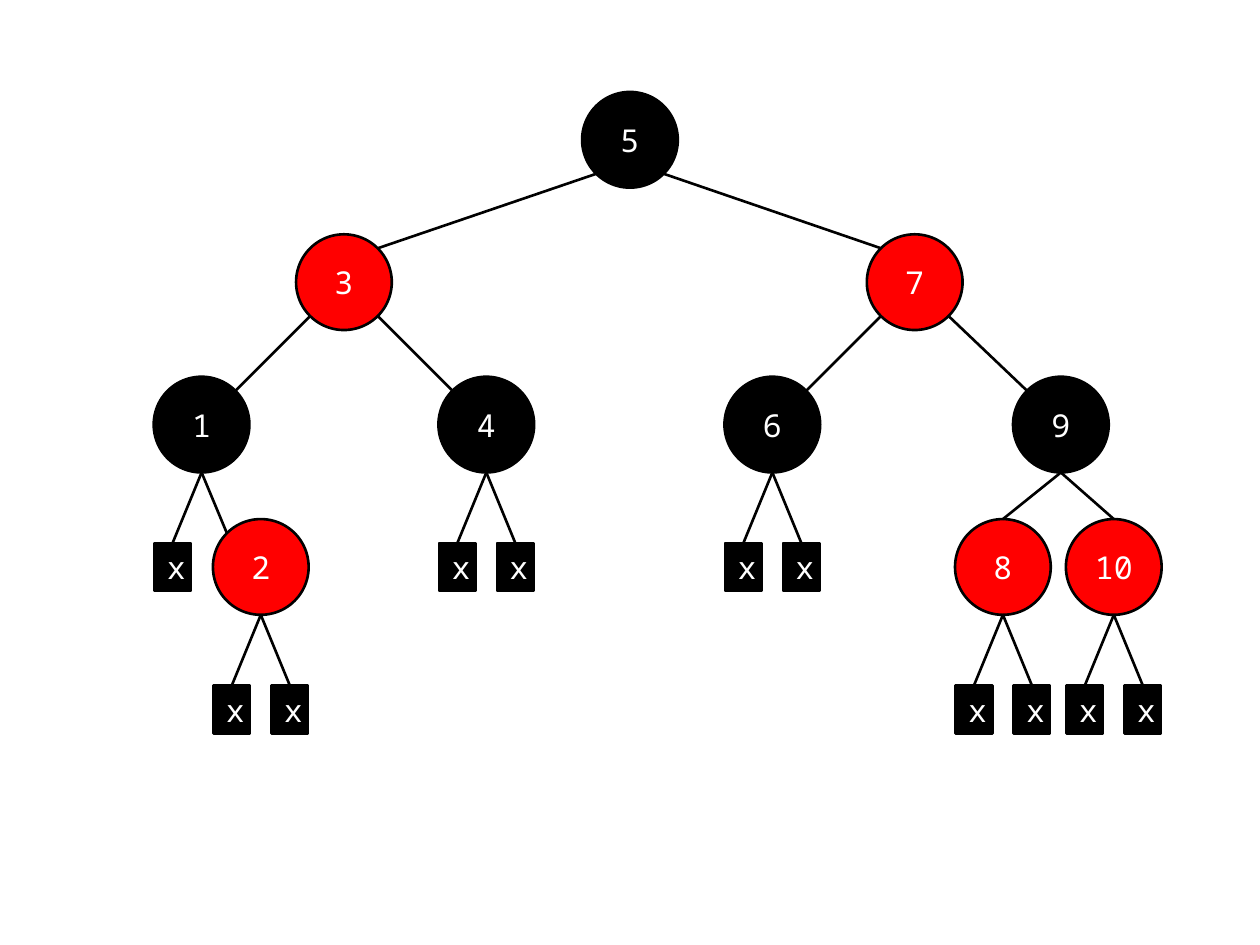
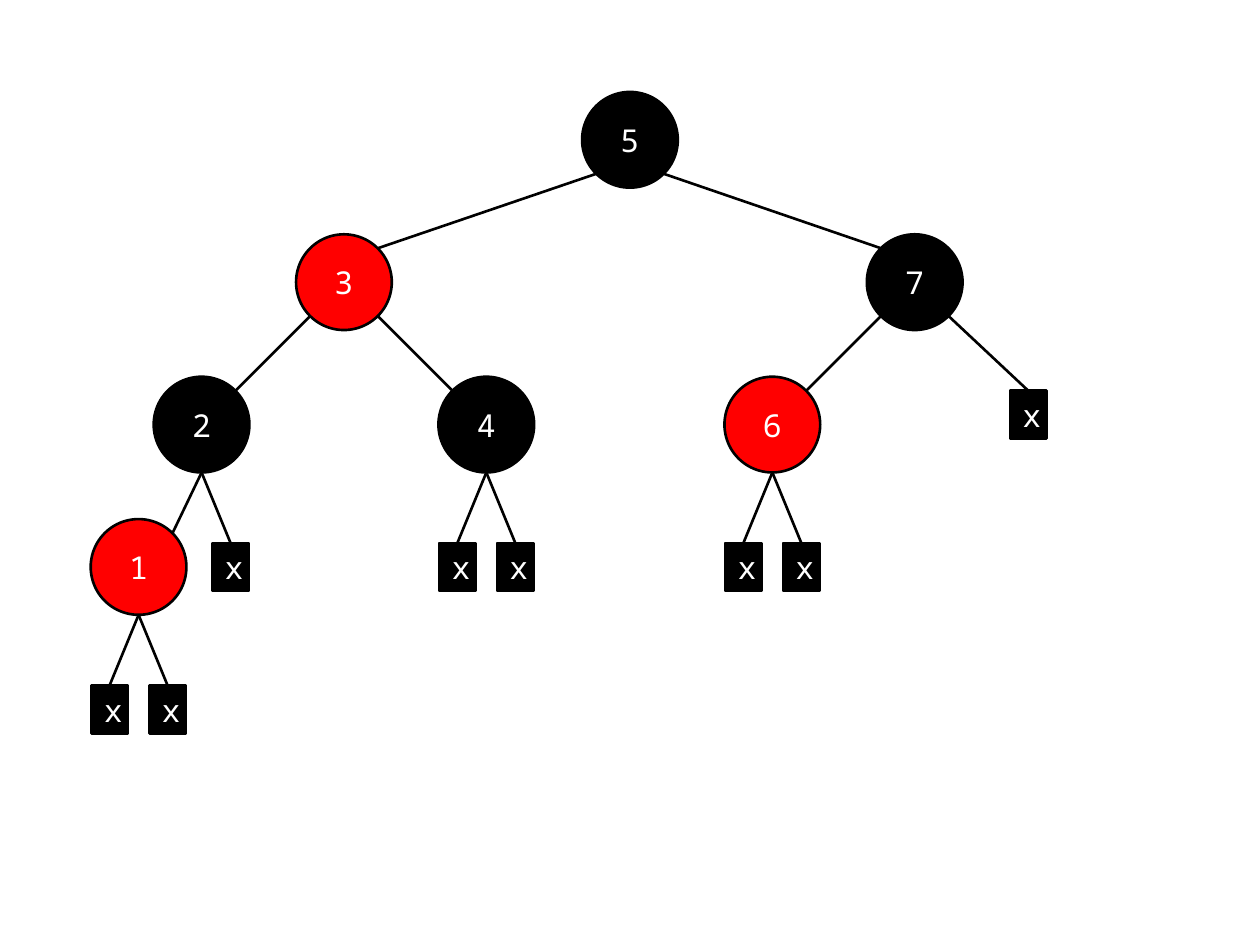
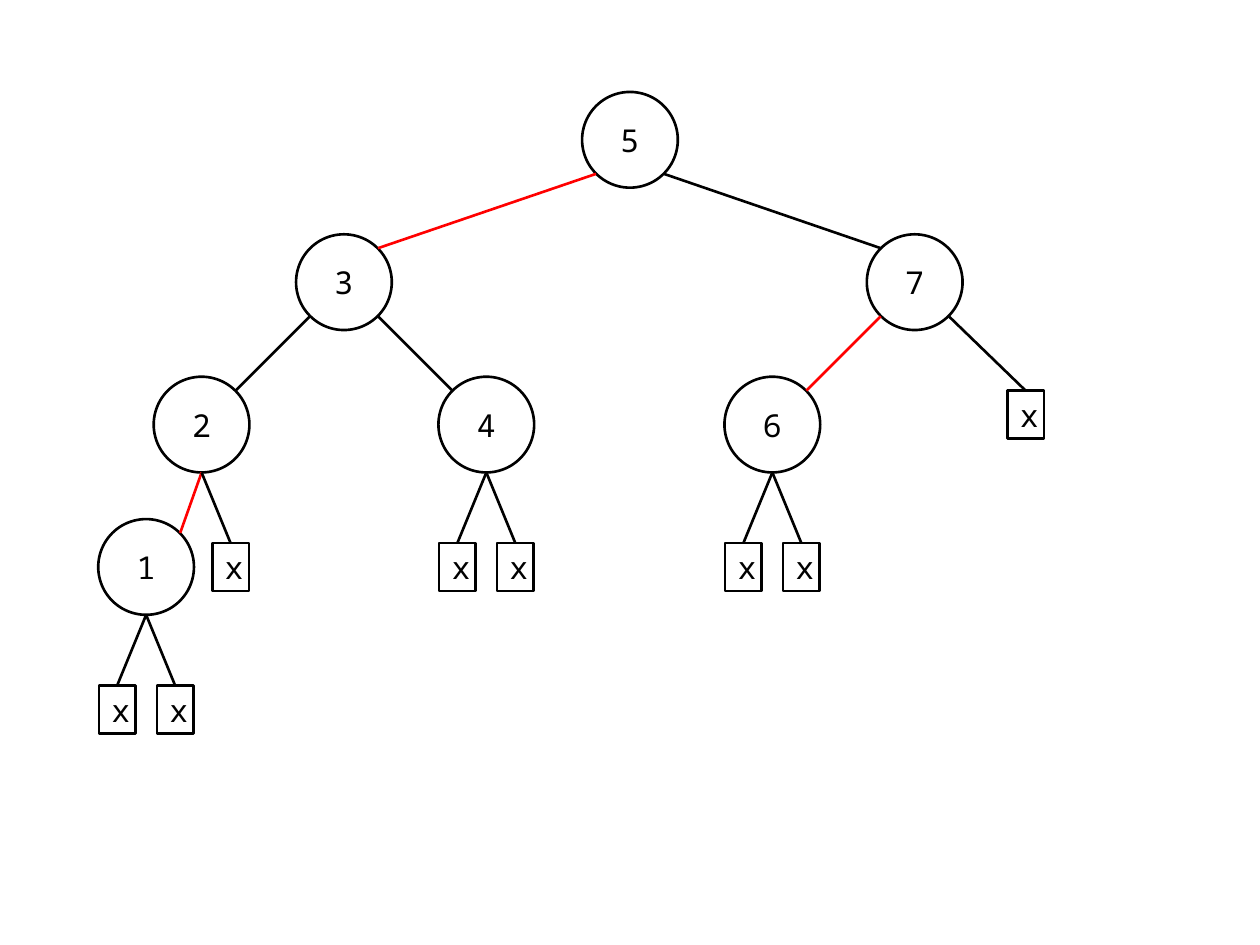
from dataclasses import dataclass
from typing import Optional

from lxml.etree import SubElement
from pptx import Presentation
from pptx.dml.color import RGBColor
from pptx.enum.shapes import MSO_CONNECTOR, MSO_SHAPE
from pptx.enum.text import MSO_ANCHOR, PP_ALIGN
from pptx.oxml.ns import qn
from pptx.util import Emu, Pt

PX = 9144  # 100 px to the inch
COLORS = {"black": "000000", "red": "FF0000", "white": "FFFFFF"}
FONT = "Noto Sans Mono"

ROOT_Y, ROW_STEP = 111, 113
RADIUS, CORNER = 38, 27  # CORNER: offset of a circle's diagonal point
LEAF_W, LEAF_H, LEAF_DX = 29, 38, 23
WIDE_ROWS = 2  # upper rows link through the diagonal points


@dataclass
class Node:
    """Tree node; a missing child is drawn as an x leaf."""
    label: str
    x: int
    color: str = "black"
    left: Optional["Node"] = None
    right: Optional["Node"] = None
    leaf: bool = False
    link_on_top: bool = False


class TreeDeck:
    def __init__(self):
        self.prs = Presentation()
        self.prs.slide_width, self.prs.slide_height = Emu(1000 * PX), Emu(750 * PX)
        self.s = None
        self.color_links = False

    def rgb(self, name):
        return RGBColor.from_string(COLORS[name])

    def emu(self, *lengths):
        return [Emu(int(n * PX)) for n in lengths]

    def new_slide(self, color_links=False):
        """With color_links, red is shown on the link above a node, not in it."""
        self.s = self.prs.slides.add_slide(self.prs.slide_layouts[6])
        self.color_links = color_links

    def outline(self, line, color="black"):
        line.color.rgb = self.rgb(color)
        line.width = Pt(1.5)

    def box(self, kind, x, y, w, h, text, color):
        sp = self.s.shapes.add_shape(kind, *self.emu(x, y, w, h))
        sp.shadow.inherit = False
        self.outline(sp.line)
        if self.color_links:
            sp.fill.background()
        else:
            sp.fill.solid()
            sp.fill.fore_color.rgb = self.rgb(color)
        tf = sp.text_frame
        tf.word_wrap = True
        tf.vertical_anchor = MSO_ANCHOR.MIDDLE
        p = tf.paragraphs[0]
        p.alignment = PP_ALIGN.CENTER
        r = p.add_run()
        r.text = text
        r.font.name, r.font.size = FONT, Pt(18)
        r.font.color.rgb = self.rgb("black" if self.color_links else "white")

    def link(self, start, end, color):
        cx = self.s.shapes.add_connector(MSO_CONNECTOR.STRAIGHT, *self.emu(*start, *end))
        self.outline(cx.line, color if self.color_links else "black")
        SubElement(cx._element.spPr, qn("a:effectLst"))

    def tree(self, node, row=0):
        y = ROOT_Y + row * ROW_STEP
        if node.leaf:
            self.box(MSO_SHAPE.RECTANGLE, node.x - LEAF_W / 2, leaf_top(row),
                     LEAF_W, LEAF_H, node.label, node.color)
            return
        self.box(MSO_SHAPE.OVAL, node.x - RADIUS, y - RADIUS,
                 2 * RADIUS, 2 * RADIUS, node.label, node.color)
        for side, child in ((-1, node.left), (1, node.right)):
            child = child or Node("x", node.x + side * LEAF_DX, leaf=True)
            self.tree(child, row + 1)
            if row < WIDE_ROWS:
                start = node.x + side * CORNER, y + CORNER
            else:
                start = node.x, y + RADIUS
            self.link(start, link_end(child, row + 1, side), child.color)


def leaf_top(row):
    drop = CORNER if row <= WIDE_ROWS else LEAF_H // 2
    return ROOT_Y + row * ROW_STEP - drop


def link_end(child, row, side):
    """Point of a child where the link from its parent arrives."""
    y = ROOT_Y + row * ROW_STEP
    if child.leaf:
        return child.x, leaf_top(row)
    if child.link_on_top:
        return child.x, y - RADIUS
    return child.x - side * CORNER, y - CORNER


def full_tree():
    one = Node("1", 160, right=Node("2", 207, "red"))
    nine = Node("9", 842, left=Node("8", 796, "red", link_on_top=True),
                right=Node("10", 884, "red", link_on_top=True))
    return Node("5", 500,
                left=Node("3", 273, "red", one, Node("4", 386)),
                right=Node("7", 726, "red", Node("6", 613), nine))


def left_leaning_tree(one_x, leaf_x):
    two = Node("2", 160, left=Node("1", one_x, "red"))
    return Node("5", 500,
                left=Node("3", 273, "red", two, Node("4", 386)),
                right=Node("7", 726, left=Node("6", 613, "red"),
                           right=Node("x", leaf_x, leaf=True)))


def main():
    deck = TreeDeck()
    deck.new_slide()
    deck.tree(full_tree())
    deck.new_slide()
    deck.tree(left_leaning_tree(110, 816))
    deck.new_slide(color_links=True)
    deck.tree(left_leaning_tree(116, 814))
    deck.prs.save("out.pptx")


if __name__ == "__main__":
    main()
